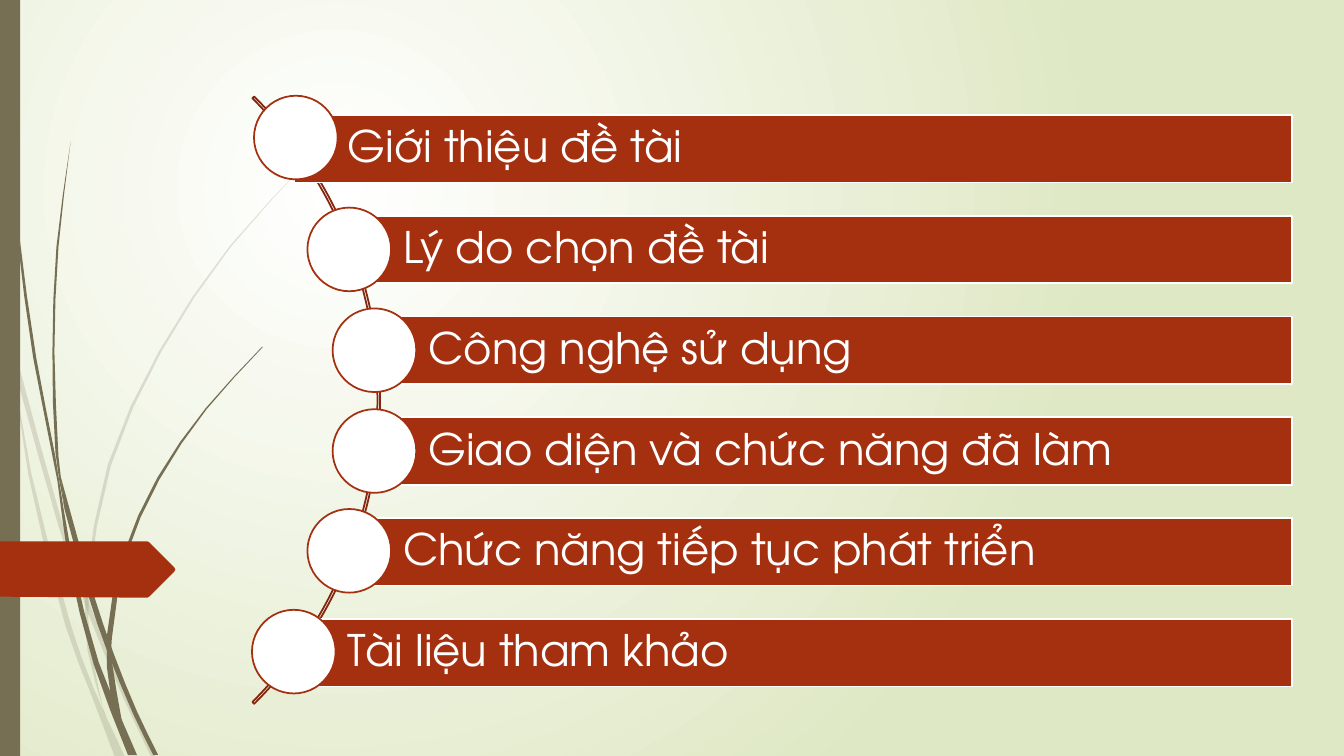
from dataclasses import dataclass

import lxml.etree
import pptx
import pptx.dml.color
import pptx.enum.shapes
import pptx.enum.text
import pptx.oxml.ns
import pptx.util

PX = 9144  # EMU per px, 100 px to the inch
SHAPE = pptx.enum.shapes.MSO_SHAPE
RED, DARK_RED, OLIVE, WHITE, PALE = "A53010", "84260D", "766F54", "FFFFFF", "DFE8C4"
BAR_RIGHT, BAR_TOP, BAR_H, ROW_STEP, DOT = 1282, 114, 67, 100, 83
CURVE_STEPS = 2

Edge = list[tuple[int, int]]


@dataclass
class Blade:
    """A blade of grass between two curved edges, out and back."""
    out: Edge
    back: Edge
    alpha: int = 100


@dataclass
class Topic:
    text: str
    bar_x: int
    dot_x: int
    dot_y: int


BLADES = [
    Blade([(0, 299), (10, 344), (28, 470), (65, 621), (92, 693), (114, 751)],
          [(124, 751), (93, 683), (70, 619), (31, 469), (11, 350), (0, 282)], 20),
    Blade([(14, 345), (62, 520), (92, 607), (127, 692), (155, 751)],
          [(150, 751), (123, 694), (88, 610), (58, 522), (17, 376)], 20),
    Blade([(312, 153), (228, 244), (158, 348), (107, 461), (85, 584), (87, 646), (105, 711)],
          [(103, 706), (91, 646), (88, 584), (110, 462), (160, 349), (229, 245), (312, 153)],
          20),
    Blade([(3, 0), (7, 110), (17, 233), (33, 355), (57, 477), (68, 557), (93, 659), (127, 749)],
          [(136, 749), (98, 657), (72, 556), (55, 453), (36, 355), (19, 232), (8, 109), (4, 0)]),
    Blade([(60, 472), (93, 590), (113, 649), (136, 706), (157, 749)],
          [(152, 749), (132, 708), (106, 645), (88, 592), (64, 505)]),
    Blade([(70, 141), (56, 245), (52, 349), (55, 449), (64, 505)],
          [(58, 453), (54, 349), (58, 245), (70, 141)]),
    Blade([(260, 344), (204, 405), (156, 474), (122, 551), (106, 631), (110, 691), (122, 719)],
          [(121, 716), (111, 656), (111, 633), (125, 552), (158, 476), (205, 406), (261, 344)]),
]

PAGE_TAG = [(0, 537), (146, 537), (148, 538), (173, 563), (174, 565),
            (173, 567), (148, 592), (146, 593), (0, 592)]

TOPICS = [
    Topic("Giới thiệu đề tài", 292, 252, 95),
    Topic("Lý do chọn đề tài", 347, 305, 206),
    Topic("Công nghệ sử dụng", 372, 330, 306),
    Topic("Giao diện và chức năng đã làm", 372, 330, 406),
    Topic("Chức năng tiếp tục phát triển", 347, 305, 505),
    Topic("Tài liệu tham khảo", 292, 250, 605),
]


def rgb(color: str) -> pptx.dml.color.RGBColor:
    return pptx.dml.color.RGBColor.from_string(color)


def style(sp, fill: str | None, line: str | None = None, alpha: int = 100) -> None:
    sp.shadow.inherit = False
    if fill:
        sp.fill.solid()
        sp.fill.fore_color.rgb = rgb(fill)
        if alpha < 100:
            clr = sp._element.spPr.find(".//" + pptx.oxml.ns.qn("a:srgbClr"))
            lxml.etree.SubElement(clr, pptx.oxml.ns.qn("a:alpha"), val=str(alpha * 1000))
    else:
        sp.fill.background()
    if line:
        sp.line.color.rgb = rgb(line)
        sp.line.width = pptx.util.Pt(1.25)
    else:
        sp.line.fill.background()


def add_shape(slide, kind, x: int, y: int, w: int, h: int, fill: str | None,
              line: str | None = None):
    sp = slide.shapes.add_shape(kind, x * PX, y * PX, w * PX, h * PX)
    style(sp, fill, line)
    return sp


def add_outline(slide, points: list[tuple[float, float]], fill: str, alpha: int = 100) -> None:
    emu = [(round(x * PX), round(y * PX)) for x, y in points]
    builder = slide.shapes.build_freeform(*emu[0], scale=1.0)
    builder.add_line_segments(emu[1:], close=True)
    style(builder.convert_to_shape(), fill, alpha=alpha)


def smooth(edge: Edge) -> list[tuple[float, float]]:
    """Sample a cubic spline through the points, spaced by chord length."""
    pts = [complex(*pt) for pt in edge]
    knots = [0.0]
    for a, b in zip(pts, pts[1:]):
        knots.append(knots[-1] + abs(b - a))
    last = len(pts) - 1
    slopes = []
    for i in range(len(pts)):
        lo, hi = max(i - 1, 0), min(i + 1, last)
        slopes.append((pts[hi] - pts[lo]) / (knots[hi] - knots[lo]))
    curve = [pts[0]]
    for i in range(last):
        span = knots[i + 1] - knots[i]
        for k in range(1, CURVE_STEPS + 1):
            t = k / CURVE_STEPS
            ease = t * t * (3 - 2 * t)
            curve.append(pts[i] * (1 - ease) + pts[i + 1] * ease
                         + span * t * (1 - t) * (slopes[i] * (1 - t) - slopes[i + 1] * t))
    return [(c.real, c.imag) for c in curve]


def paint_background(slide) -> None:
    fill = slide.background.fill
    fill.gradient()
    for stop, color, position in zip(fill.gradient_stops, (WHITE, PALE), (0, 1)):
        stop.color.rgb = rgb(color)
        stop.position = position
    qn = pptx.oxml.ns.qn
    lin = slide._element.find(".//" + qn("a:lin"))
    radial = lxml.etree.Element(qn("a:path"), {"path": "circle"})
    lxml.etree.SubElement(radial, qn("a:fillToRect"),
                          l="50000", t="50000", r="100000", b="100000")
    lin.getparent().replace(lin, radial)


def add_topic(slide, row: int, topic: Topic) -> None:
    sp = add_shape(slide, SHAPE.RECTANGLE, topic.bar_x, BAR_TOP + row * ROW_STEP,
                   BAR_RIGHT - topic.bar_x, BAR_H, RED, WHITE)
    tf = sp.text_frame
    p = tf.paragraphs[0]
    r = p.add_run()
    r.text = topic.text
    r.font.color.rgb = rgb(WHITE)
    formats = [
        (tf, {"word_wrap": True, "vertical_anchor": pptx.enum.text.MSO_ANCHOR.MIDDLE,
              "margin_left": 53 * PX, "margin_right": 9 * PX,
              "margin_top": 9 * PX, "margin_bottom": 9 * PX}),
        (p, {"alignment": pptx.enum.text.PP_ALIGN.LEFT, "line_spacing": 0.9}),
        (r.font, {"name": "TeX Gyre Adventor", "size": pptx.util.Pt(31)}),
    ]
    for target, values in formats:
        for name, value in values.items():
            setattr(target, name, value)
    add_shape(slide, SHAPE.OVAL, topic.dot_x, topic.dot_y, DOT, DOT, WHITE, RED)


def main() -> None:
    prs = pptx.Presentation()
    prs.slide_width, prs.slide_height = pptx.util.Inches(13.333), pptx.util.Inches(7.5)
    slide = prs.slides.add_slide(prs.slide_layouts[6])
    paint_background(slide)

    # Grass, side strip and page tag
    for blade in BLADES:
        add_outline(slide, smooth(blade.out) + smooth(blade.back), OLIVE, blade.alpha)
    add_shape(slide, SHAPE.RECTANGLE, 0, 0, 20, 750, OLIVE)
    add_outline(slide, PAGE_TAG, RED)

    # Arc behind the list of topics
    arc = add_shape(slide, SHAPE.BLOCK_ARC, -475, -29, 852, 852, None, DARK_RED)
    for i, value in enumerate((189, 27, 0.003)):
        arc.adjustments[i] = value
    for row, topic in enumerate(TOPICS):
        add_topic(slide, row, topic)

    prs.save("out.pptx")


if __name__ == "__main__":
    main()
